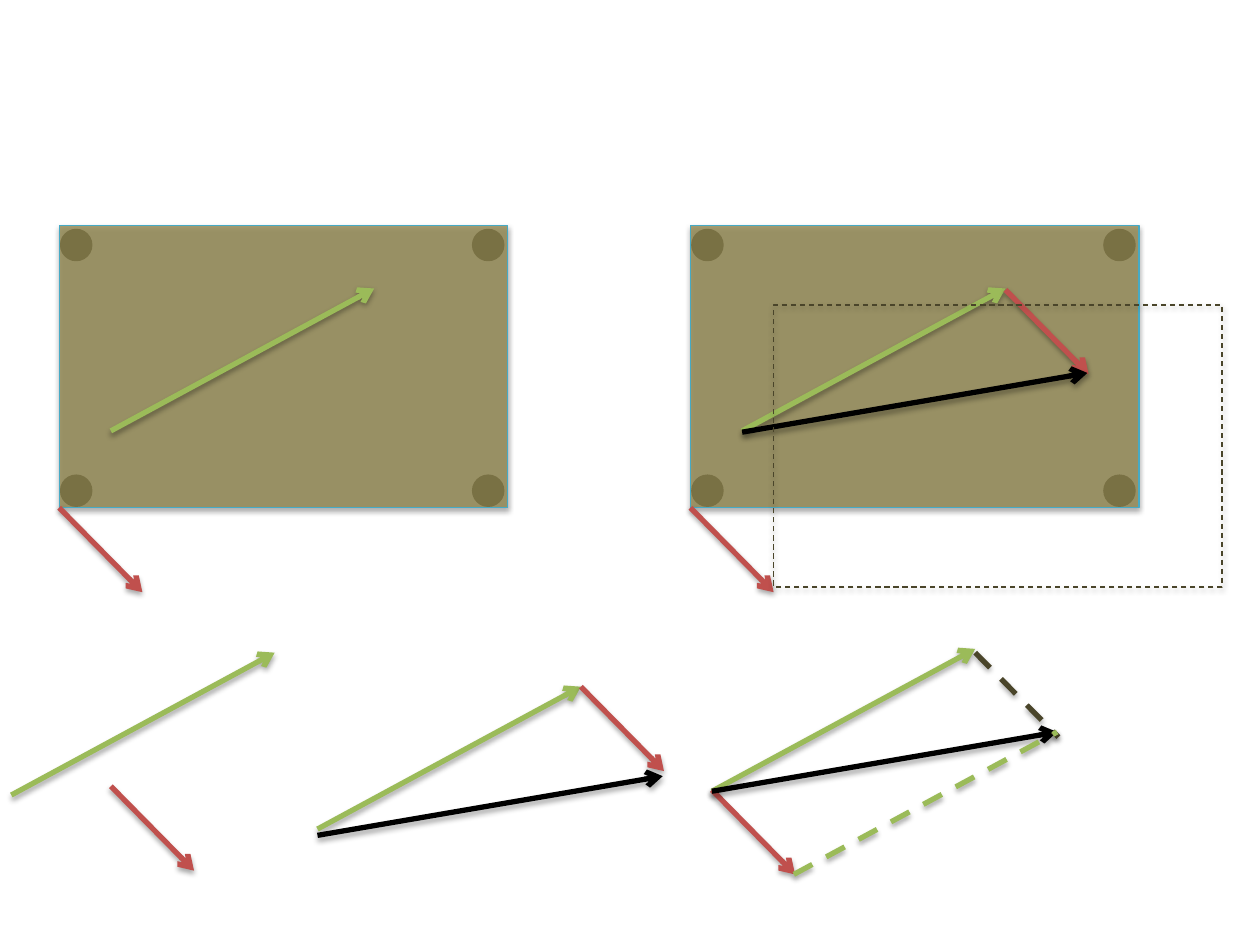
from lxml import etree
from pptx import Presentation
from pptx.dml.color import RGBColor
from pptx.enum.dml import MSO_LINE
from pptx.enum.shapes import MSO_CONNECTOR, MSO_SHAPE
from pptx.oxml.ns import qn
from pptx.util import Inches, Pt

RECT, OVAL = MSO_SHAPE.RECTANGLE, MSO_SHAPE.OVAL
LINE, DASH = MSO_CONNECTOR.STRAIGHT, MSO_LINE.DASH
GREEN, RED, BLACK, DARK = "9BBB59", "C0504D", "000000", "4A452A"
TAN, TEAL = "948A54", "46AAC5"

TABLE = (3.56, 2.24)
TOP = 1.79
LEFTS = (5.48, 0.47)
LEGS = [(x, y) for x in (0.02, 3.29) for y in (0.04, 1.99)]
LEG = 0.23
SHIFT = (0.66, 0.67)
PATHS = {"walk": (2.09, -1.13), "drift": SHIFT, "sum": (2.74, -0.47)}
TINTS = {"walk": GREEN, "drift": RED, "sum": BLACK}

ABOVE = [
    ("walk", 5.89, 3.42), ("drift", 7.98, 2.3), ("sum", 5.89, 3.43),
    ("drift", 5.48, 4.03), ("walk", 0.88, 3.42), ("drift", 0.47, 4.03),
]
BELOW = [
    ("walk", 2.52, 6.58), ("drift", 4.61, 5.45), ("sum", 2.52, 6.63),
    ("walk", 5.65, 6.28), ("drift", 5.65, 6.27), ("sum", 5.65, 6.28),
    ("walk", 0.09, 6.31), ("drift", 0.88, 6.24),
]
SIDES = [("drift", 7.74, 5.18, DARK), ("walk", 6.3, 6.94, GREEN)]


def paint(pen, color, width, dash=None):
    pen.color.rgb = RGBColor.from_string(color)
    pen.width = Pt(width)
    if dash:
        pen.dash_style = dash


def fade(node, share):
    etree.SubElement(node, qn("a:alpha"), val=str(share * 1000))


def shade(item, share, dist):
    props = item._element.spPr
    for old in props.findall(qn("a:effectLst")):
        props.remove(old)
    glow = etree.SubElement(
        etree.SubElement(props, qn("a:effectLst")), qn("a:outerShdw"),
        blurRad=str(Pt(3.1)), dist=str(Pt(dist)), dir="5400000", rotWithShape="0")
    fade(etree.SubElement(glow, qn("a:srgbClr"), val=BLACK), share)


def shape(slide, kind, x, y, size, fill, color, width, dash=None):
    item = slide.shapes.add_shape(kind, *map(Inches, (x, y, *size)))
    item.shadow.inherit = False
    if fill:
        item.fill.solid()
        item.fill.fore_color.rgb = RGBColor.from_string(fill)
    else:
        item.fill.background()
    paint(item.line, color, width, dash)
    return item


def arrow(slide, name, x, y, color=None, dash=None):
    dx, dy = PATHS[name]
    item = slide.shapes.add_connector(LINE, *map(Inches, (x, y, x + dx, y + dy)))
    paint(item.line, color or TINTS[name], 3, dash)
    if not dash:
        etree.SubElement(item.line._get_or_add_ln(), qn("a:tailEnd"), type="arrow")
    shade(item, 35, 1.8)


def table(slide, left):
    for x, y in LEGS:
        shape(slide, OVAL, left + x, TOP + y, (LEG, LEG), BLACK, BLACK, 2)
    top = shape(slide, RECT, left, TOP, TABLE, TAN, TEAL, 0.75)
    fade(top._element.spPr.find(qn("a:solidFill"))[0], 82)
    shade(top, 38, 1.6)


def main():
    """Build the slide of vector sums on a moving table."""
    deck = Presentation()
    deck.slide_width, deck.slide_height = Inches(10), Inches(7.5)
    slide = deck.slides.add_slide(deck.slide_layouts[6])
    for left in LEFTS:
        table(slide, left)
    for spec_row in ABOVE:
        arrow(slide, *spec_row)
    moved = shape(slide, RECT, LEFTS[0] + SHIFT[0], 2.42, TABLE, None, DARK, 0.75, DASH)
    shade(moved, 38, 1.6)
    for row in BELOW:
        arrow(slide, *row)
    for row in SIDES:
        arrow(slide, *row, DASH)
    deck.save("out.pptx")


if __name__ == "__main__":
    main()
